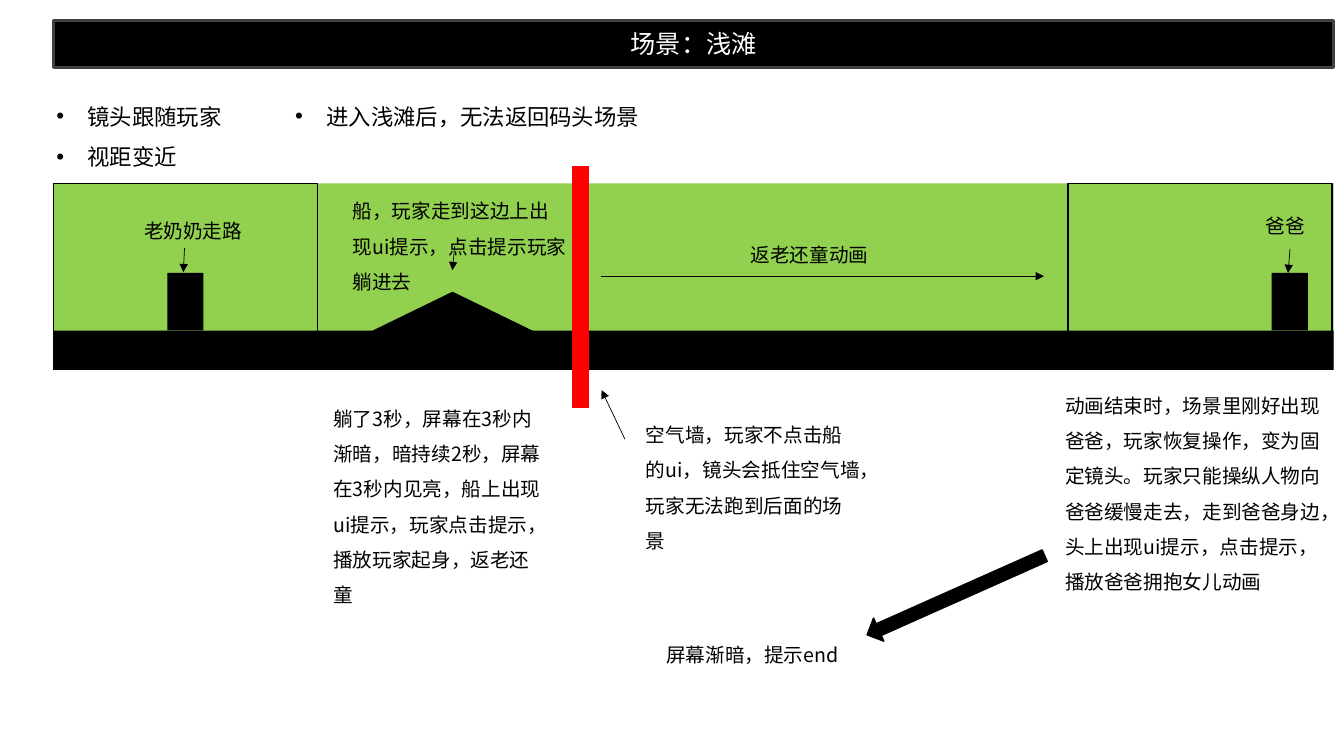
"""Build the shoal scene slide of a game storyboard."""
from pptx import Presentation
from pptx.dml.color import RGBColor
from pptx.enum import shapes, text
from pptx.oxml import ns
from pptx.util import Cm, Pt
from lxml import etree

FONT = "Noto Sans CJK SC"
BLACK, WHITE, GREEN, RED, GREY = "000000", "FFFFFF", "92D050", "FF0000", "404040"
KIND = shapes.MSO_SHAPE
SCENE_LEFT, SCENE_TOP, SCENE_WIDTH, SCENE_HEIGHT = 1.35, 4.62, 32.26, 4.7
FRAME_WIDTH = 6.65
GROUND_TOP = 8.33
PERSON_HEIGHT = 1.45


def set_color(color_format, value):
    """Give a colour format an RGB value from a hex string."""
    color_format.rgb = RGBColor.from_string(value)


def add_run(paragraph, words, size=14, color=BLACK, latin=FONT):
    """Add one formatted run with an East Asian typeface."""
    run = paragraph.add_run()
    run.text = words
    run.font.size = Pt(size)
    run.font.name = latin
    set_color(run.font.color, color)
    etree.SubElement(run.font._element, ns.qn("a:ea"), typeface=FONT)


def add_shape(slide, kind, box, fill=None, line=None, line_width=1, rotation=0):
    """Add a preset shape with optional fill and outline."""
    shape = slide.shapes.add_shape(kind, *map(Cm, box))
    shape.shadow.inherit = False
    shape.rotation = rotation
    if fill:
        shape.fill.solid()
        set_color(shape.fill.fore_color, fill)
    else:
        shape.fill.background()
    if line:
        shape.line.width = Pt(line_width)
        set_color(shape.line.color, line)
    else:
        shape.line.fill.background()
    return shape


def add_title(slide, words):
    """Add the title bar."""
    shape = add_shape(slide, KIND.ROUNDED_RECTANGLE,
                      (SCENE_LEFT, 0.51, SCENE_WIDTH, 1.19), BLACK, GREY, 2.25)
    shape.adjustments[0] = 0
    shape.text_frame.vertical_anchor = text.MSO_ANCHOR.MIDDLE
    paragraph = shape.text_frame.paragraphs[0]
    paragraph.alignment = text.PP_ALIGN.CENTER
    add_run(paragraph, words, 18, WHITE)


def add_text_frame(slide, box):
    """Add a wrapping text box and return its frame."""
    frame = slide.shapes.add_textbox(*map(Cm, box)).text_frame
    frame.word_wrap = True
    frame.auto_size = text.MSO_AUTO_SIZE.SHAPE_TO_FIT_TEXT
    return frame


def add_note(slide, box, words, spacing=1.5):
    """Add a plain one-paragraph note."""
    paragraph = add_text_frame(slide, box).paragraphs[0]
    paragraph.line_spacing = spacing
    add_run(paragraph, words)


def add_bullets(slide, box, items):
    """Add a bulleted list."""
    frame = add_text_frame(slide, box)
    for index, item in enumerate(items):
        paragraph = frame.add_paragraph() if index else frame.paragraphs[0]
        paragraph.line_spacing = 1.5
        properties = paragraph._p.get_or_add_pPr()
        properties.set("marL", str(Cm(0.79)))
        properties.set("indent", str(-Cm(0.79)))
        etree.SubElement(properties, ns.qn("a:buFont"), typeface="Arial")
        etree.SubElement(properties, ns.qn("a:buChar"), char="•")
        add_run(paragraph, item, 16, latin="Calibri")


def add_arrow(slide, start, end):
    """Add a thin line with a triangular head at its end."""
    connector = slide.shapes.add_connector(
        shapes.MSO_CONNECTOR.STRAIGHT, *map(Cm, (*start, *end)))
    connector.line.width = Pt(0.5)
    set_color(connector.line.color, BLACK)
    etree.SubElement(connector.line._get_or_add_ln(), ns.qn("a:tailEnd"), type="triangle")
    etree.SubElement(connector._element.spPr, ns.qn("a:effectLst"))


def add_person(slide, left):
    """Add a figure standing on the ground."""
    add_shape(slide, KIND.RECTANGLE,
              (left, GROUND_TOP - PERSON_HEIGHT, 0.91, PERSON_HEIGHT), BLACK)


def add_scene(slide):
    """Draw the shoal with its camera frames, figures, boat and air wall."""
    scene = (SCENE_LEFT, SCENE_TOP, SCENE_WIDTH, SCENE_HEIGHT)
    add_shape(slide, KIND.RECTANGLE, scene, GREEN)
    add_shape(slide, KIND.RECTANGLE, (SCENE_LEFT, GROUND_TOP, SCENE_WIDTH, 0.99), BLACK)
    for left in (4.22, 32.05):
        add_person(slide, left)
    for left, height in ((SCENE_LEFT, SCENE_HEIGHT), (26.92, 4.5)):
        add_shape(slide, KIND.RECTANGLE, (left, SCENE_TOP, FRAME_WIDTH, height), line=BLACK)
    add_shape(slide, KIND.ISOSCELES_TRIANGLE, (9.27, 7.37, 4.27, 1.04), BLACK, BLACK)
    add_shape(slide, KIND.RECTANGLE, (14.43, 4.19, 0.41, 6.07), RED, RED)


def main():
    """Build and save the slide."""
    presentation = Presentation()
    presentation.slide_width, presentation.slide_height = Cm(33.87), Cm(19.05)
    slide = presentation.slides.add_slide(presentation.slide_layouts[6])

    add_title(slide, "场景：浅滩")
    add_bullets(slide, (1.17, 2.13, 4.9, 2.31), ["镜头跟随玩家", "视距变近"])
    add_bullets(slide, (7.19, 2.13, 9.91, 1.27), ["进入浅滩后，无法返回码头场景"])
    add_scene(slide)

    add_note(slide, (3.38, 5.38, 3.38, 0.86), "老奶奶走路", 1)
    add_note(slide, (31.65, 5.26, 1.7, 0.86), "爸爸", 1)
    notes = [
        ((8.64, 4.6, 5.94, 2.95), "船，玩家走到这边上出现ui提示，点击提示玩家躺进去"),
        ((18.67, 5.69, 5.94, 1.04), "返老还童动画"),
        ((8.15, 9.83, 5.94, 4.75),
         "躺了3秒，屏幕在3秒内渐暗，暗持续2秒，屏幕在3秒内见亮，"
         "船上出现ui提示，玩家点击提示，播放玩家起身，返老还童"),
        ((16.03, 10.24, 5.94, 2.95),
         "空气墙，玩家不点击船的ui，镜头会抵住空气墙，玩家无法跑到后面的场景"),
        ((26.59, 9.5, 6.99, 5.64),
         "动画结束时，场景里刚好出现爸爸，玩家恢复操作，变为固定镜头。"
         "玩家只能操纵人物向爸爸缓慢走去，走到爸爸身边，"
         "头上出现ui提示，点击提示，播放爸爸拥抱女儿动画"),
        ((16.54, 15.77, 5.41, 1.14), "屏幕渐暗，提示end"),
    ]
    for box, words in notes:
        add_note(slide, box, words)

    arrows = [
        ((4.65, 6.25), (4.62, 6.86)),
        ((11.46, 6.2), (11.4, 6.81)),
        ((32.51, 6.27), (32.46, 6.88)),
        ((15.14, 6.96), (26.31, 6.96)),
        ((15.75, 11.07), (15.16, 9.83)),
    ]
    for start, end in arrows:
        add_arrow(slide, start, end)
    add_shape(slide, KIND.DOWN_ARROW, (23.77, 12.55, 0.64, 4.9), BLACK, BLACK, rotation=66)

    presentation.save("out.pptx")


if __name__ == "__main__":
    main()
